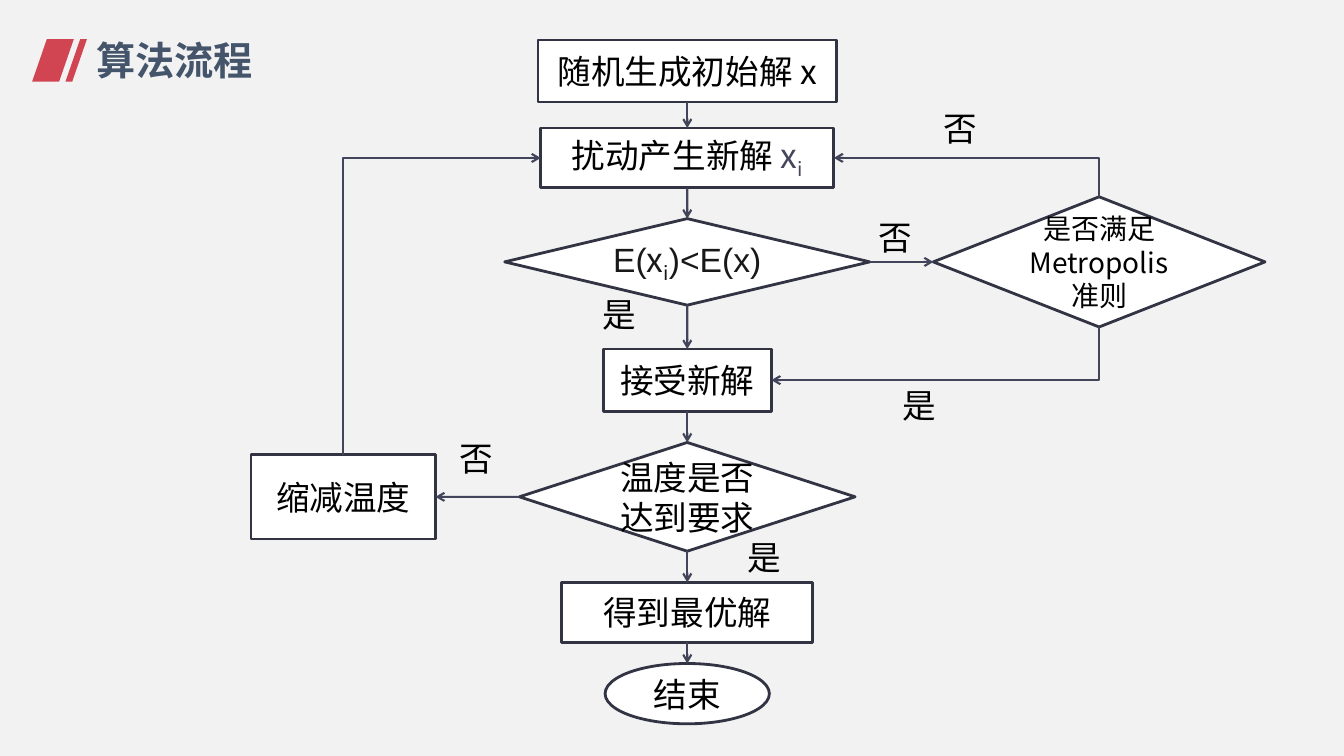
from dataclasses import dataclass

from lxml.etree import SubElement
from pptx import Presentation
from pptx.dml.color import RGBColor
from pptx.enum.shapes import MSO_CONNECTOR as Link, MSO_SHAPE as Form
from pptx.enum.text import MSO_ANCHOR as Anchor, PP_ALIGN as Align
from pptx.oxml.ns import qn
from pptx.util import Cm, Pt


@dataclass(frozen=True)
class Theme:
    background: str = "F2F2F2"
    accent: str = "D14553"
    title: str = "44546B"
    fill: str = "FFFFFF"
    outline: str = "323443"
    arrow: str = "42445A"
    text: str = "000000"
    symbol: str = "44465B"
    formula: str = "181818"
    cjk: str = "Noto Sans CJK SC"
    latin: str = "Arial"
    title_size: int = 28
    body_size: int = 24
    small_size: int = 20


THEME = Theme()
TOP, LEFT, BOTTOM, RIGHT = range(4)


def rgb(code):
    return RGBColor.from_string(code)


def add_run(paragraph, words, size=THEME.body_size, color=THEME.text,
            font=THEME.cjk, bold=False, subscript=False):
    run = paragraph.add_run()
    run.text = words
    run.font.size = Pt(size)
    run.font.bold = bold
    run.font.name = font
    run.font.color.rgb = rgb(color)
    props = run.font._element
    SubElement(props, qn("a:ea")).set("typeface", THEME.cjk)
    if subscript:
        props.set("baseline", "-25000")


def add_step(slide, form, center, size, runs):
    """Place a flowchart step by its centre; runs are (words, style) pairs."""
    (cx, cy), (width, height) = center, size
    step = slide.shapes.add_shape(form, Cm(cx - width / 2), Cm(cy - height / 2),
                                  Cm(width), Cm(height))
    step.shadow.inherit = False
    step.fill.solid()
    step.fill.fore_color.rgb = rgb(THEME.fill)
    step.line.color.rgb = rgb(THEME.outline)
    step.line.width = Pt(2)
    step.text_frame.vertical_anchor = Anchor.MIDDLE
    paragraph = step.text_frame.paragraphs[0]
    paragraph.alignment = Align.CENTER
    for words, style in runs:
        add_run(paragraph, words, **style)
    return step


def add_text(slide, left, top, width, height, words, anchor=Anchor.TOP, **style):
    frame = slide.shapes.add_textbox(Cm(left), Cm(top), Cm(width), Cm(height)).text_frame
    frame.word_wrap = False
    frame.vertical_anchor = anchor
    add_run(frame.paragraphs[0], words, **style)


def add_arrow(slide, source, source_side, target, target_side):
    arrow = slide.shapes.add_connector(Link.STRAIGHT, 0, 0, 0, 0)
    arrow.begin_connect(source, source_side)
    arrow.end_connect(target, target_side)
    arrow.line.color.rgb = rgb(THEME.arrow)
    arrow.line.width = Pt(1.5)
    SubElement(arrow.line._get_or_add_ln(), qn("a:tailEnd")).set("type", "arrow")
    SubElement(arrow.element.spPr, qn("a:effectLst"))
    return arrow


def add_corner_arrow(slide, source, source_side, target, target_side):
    """Leave the source vertically, turn once, enter the target sideways."""
    arrow = add_arrow(slide, source, source_side, target, target_side)
    down = arrow.end_y > arrow.begin_y
    rightward = arrow.end_x > arrow.begin_x
    left, top, width, height = arrow.left, arrow.top, arrow.width, arrow.height

    # The one-corner preset runs sideways first, so it is turned a quarter
    arrow.left = left + (width - height) // 2
    arrow.top = top + (height - width) // 2
    arrow.width, arrow.height = height, width
    properties = arrow.element.spPr
    properties.find(qn("a:prstGeom")).set("prst", "bentConnector2")
    frame = properties.find(qn("a:xfrm"))
    frame.set("rot", str((90 if down else 270) * 60000))
    frame.set("flipH", "0")
    frame.set("flipV", "1" if down == rightward else "0")


def add_title_stripe(slide, left, width):
    top, bottom, slant = 0.99, 2.06, 0.37
    builder = slide.shapes.build_freeform(Cm(left + slant), Cm(top))
    builder.add_line_segments([(Cm(left + slant + width), Cm(top)),
                               (Cm(left + width), Cm(bottom)),
                               (Cm(left), Cm(bottom))], close=True)
    stripe = builder.convert_to_shape()
    stripe.shadow.inherit = False
    stripe.fill.solid()
    stripe.fill.fore_color.rgb = rgb(THEME.accent)
    stripe.line.fill.background()


def main():
    deck = Presentation()
    deck.slide_width, deck.slide_height = Cm(33.87), Cm(19.05)
    slide = deck.slides.add_slide(deck.slide_layouts[6])
    slide.background.fill.solid()
    slide.background.fill.fore_color.rgb = rgb(THEME.background)

    # Title
    for left, width in ((0.81, 0.68), (1.65, 0.17)):
        add_title_stripe(slide, left, width)
    add_text(slide, 2.18, 0.79, 4.5, 1.45, "算法流程", Anchor.MIDDLE,
             size=THEME.title_size, color=THEME.title, font=THEME.latin, bold=True)

    # Main column of steps
    spine = 17.32
    symbol = {"color": THEME.symbol}
    formula = {"color": THEME.formula}
    formula_latin = {**formula, "font": THEME.latin}
    column = [
        (Form.RECTANGLE, 1.79, (7.52, 1.56), [("随机生成初始解 x", {})]),
        (Form.RECTANGLE, 3.98, (7.39, 1.51),
         [("扰动产生新解 ", {}), ("x", symbol), ("i", {**symbol, "subscript": True})]),
        (Form.DIAMOND, 6.6, (9.2, 2.18),
         [("E(", formula_latin), ("x", formula),
          ("i", {**formula, "subscript": True}), (")<E(x)", formula_latin)]),
        (Form.RECTANGLE, 9.58, (4.24, 1.57), [("接受新解", {})]),
        (Form.DIAMOND, 12.52, (8.46, 2.74), [("温度是否达到要求", {})]),
        (Form.RECTANGLE, 15.43, (6.32, 1.51), [("得到最优解", {})]),
        (Form.OVAL, 17.48, (4.14, 1.52), [("结束", {})]),
    ]
    steps = [add_step(slide, form, (spine, cy), size, runs)
             for form, cy, size, runs in column]
    _, perturb, compare, accept, check_heat, _, _ = steps

    # Side steps
    metropolis = add_step(slide, Form.DIAMOND, (27.7, 6.6), (8.36, 3.28),
                          [("是否满足Metropolis准则", {"size": THEME.small_size})])
    cool = add_step(slide, Form.RECTANGLE, (8.65, 12.52), (4.65, 2.13),
                    [("缩减温度", {})])

    # Arrows
    for upper, lower in zip(steps, steps[1:]):
        add_arrow(slide, upper, BOTTOM, lower, TOP)
    add_arrow(slide, compare, RIGHT, metropolis, LEFT)
    add_arrow(slide, check_heat, LEFT, cool, RIGHT)
    add_corner_arrow(slide, cool, TOP, perturb, LEFT)
    add_corner_arrow(slide, metropolis, TOP, perturb, RIGHT)
    add_corner_arrow(slide, metropolis, BOTTOM, accept, RIGHT)

    # Branch labels
    branches = {
        "是": [(14.94, 7.29), (22.5, 9.58), (18.59, 13.41)],
        "否": [(21.89, 5.33), (23.52, 2.59), (11.33, 10.9)],
    }
    for answer, places in branches.items():
        for left, top in places:
            add_text(slide, left, top, 1.37, 1.27, answer)

    deck.save("out.pptx")


if __name__ == "__main__":
    main()
